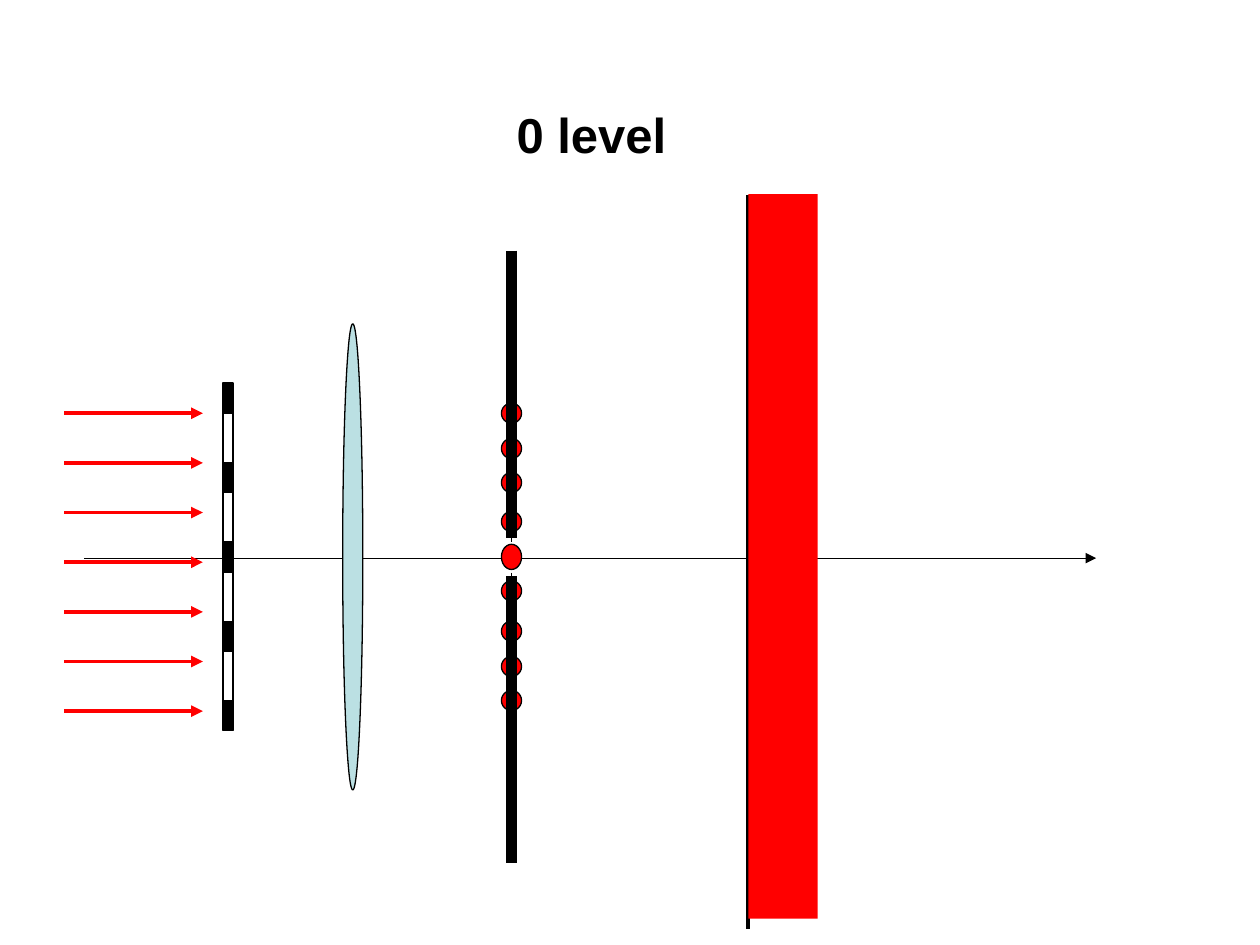
from lxml import etree
from pptx import Presentation
from pptx import util as u
from pptx.dml.color import RGBColor
from pptx.enum import dml, shapes, text
from pptx.oxml.ns import qn

COLORS = {"black": "000000", "white": "FFFFFF", "red": "FF0000", "lens": "BBE0E3"}
TITLE = "0 level"
W, H = 10, 7.5
AXIS_Y = 4.43
THIN, MEDIUM, THICK = 0.75, 2.25, 6

# Horizontal positions of the optical elements
RAY_X = (0.51, 1.61)
AXIS_X = (0.67, 8.7)
GRATING_X, LENS_X, FOCAL_X, SCREEN_X = 1.81, 2.8, 4.06, 5.94

RAYS = {"count": 7, "top": 3.28, "pitch": 0.394}
SLITS = {"count": 4, "top": 3.28, "pitch": 0.63, "height": 0.39}
SPOT_CENTERS = [3.28, 3.56, 3.83, 4.14, 4.69, 5.01, 5.29, 5.56]
STOPS = [(1.99, 4.27), (4.57, 6.85)]

RECT, OVAL = shapes.MSO_SHAPE.RECTANGLE, shapes.MSO_SHAPE.OVAL

prs = Presentation()
prs.slide_width, prs.slide_height = u.Inches(W), u.Inches(H)
s = prs.slides.add_slide(prs.slide_layouts[5])


def rgb(name):
    return RGBColor.from_string(COLORS[name])


def add_part(kind, cx, top, width, height, fill, outlined=True):
    """Draw a filled shape centred horizontally on cx."""
    sp = s.shapes.add_shape(kind, u.Inches(cx - width / 2), u.Inches(top),
                            u.Inches(width), u.Inches(height))
    sp.shadow.inherit = False
    sp.fill.solid()
    sp.fill.fore_color.rgb = rgb(fill)
    if outlined:
        sp.line.color.rgb = rgb("black")
        sp.line.width = u.Pt(THIN)
    else:
        sp.line.fill.background()


def add_line(x1, y1, x2, y2, color="black", width=THIN, arrow=False, dashed=False):
    c = s.shapes.add_connector(shapes.MSO_CONNECTOR.STRAIGHT,
                               *(u.Inches(v) for v in (x1, y1, x2, y2)))
    c.line.color.rgb = rgb(color)
    c.line.width = u.Pt(width)
    if dashed:
        c.line.dash_style = dml.MSO_LINE.DASH
    if arrow:
        etree.SubElement(c.line._get_or_add_ln(), qn("a:tailEnd"), type="triangle")
    etree.SubElement(c._element.spPr, qn("a:effectLst"))


# Title
t = s.shapes.title
t.left, t.top, t.width, t.height = (u.Inches(v) for v in (4, 0.78, 1.42, 0.57))
tf = t.text_frame
tf.text = TITLE
tf.word_wrap = False
tf.auto_size = text.MSO_AUTO_SIZE.NONE
tf.vertical_anchor = text.MSO_ANCHOR.TOP
p = tf.paragraphs[0]
p.alignment = text.PP_ALIGN.LEFT
r = p.runs[0]
r.font.name, r.font.size, r.font.bold = "Arial", u.Pt(28), True
r.font.color.rgb = rgb("black")

# Grating with its open slits
add_part(RECT, GRATING_X, 3.04, 0.08, 2.76, "black")
for i in range(SLITS["count"]):
    add_part(RECT, GRATING_X, SLITS["top"] + i * SLITS["pitch"], 0.08,
             SLITS["height"], "white")

# Optical axis and lens
add_line(AXIS_X[0], AXIS_Y, AXIS_X[1], AXIS_Y, arrow=True)
add_part(OVAL, LENS_X, 2.57, 0.16, 3.7, "lens")

# Focal plane: diffraction spots, all but the central one blocked
add_line(FOCAL_X, 2.18, FOCAL_X, 6.82, dashed=True)
add_part(OVAL, FOCAL_X, 4.32, 0.16, 0.2, "red")
for y in SPOT_CENTERS:
    add_part(OVAL, FOCAL_X, y - 0.08, 0.16, 0.16, "red")
for top, bottom in STOPS:
    add_line(FOCAL_X, top, FOCAL_X, bottom, width=THICK)

# Screen
add_line(SCREEN_X, 1.55, SCREEN_X, 7.37, width=MEDIUM)

# Incoming rays
for i in range(RAYS["count"]):
    y = RAYS["top"] + i * RAYS["pitch"]
    add_line(RAY_X[0], y, RAY_X[1], y, "red", MEDIUM, arrow=True)

# Uniform light on the screen
light_w = 0.55
add_part(RECT, SCREEN_X + light_w / 2, 1.54, light_w, 5.75, "red", outlined=False)

prs.save("out.pptx")
